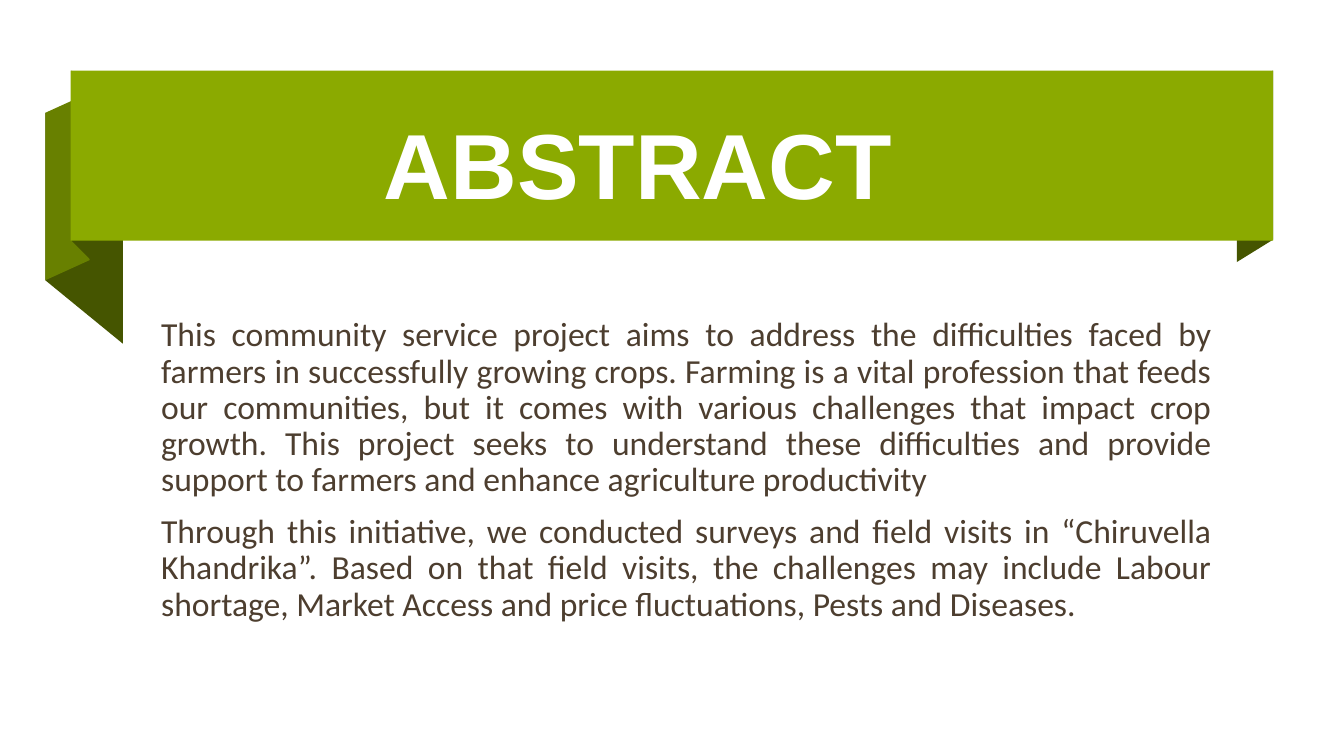
import pptx
import pptx.dml.color
import pptx.enum.shapes
import pptx.enum.text
import pptx.util

Pt = pptx.util.Pt
ALIGN = pptx.enum.text.PP_ALIGN
ANCHOR = pptx.enum.text.MSO_ANCHOR

COLOURS = {
    "background": "FFFFFF",
    "banner": "8BAA00",
    "fold": "688000",
    "shade": "455500",
    "title": "FFFFFF",
    "body": "4D3E2F",
}

ABSTRACT = [
    "This community service project aims to address the difficulties faced by farmers in "
    "successfully growing crops. Farming is a vital profession that feeds our communities, "
    "but it comes with various challenges that impact crop growth. This project seeks to "
    "understand these difficulties and provide support to farmers and enhance agriculture "
    "productivity",
    "Through this initiative, we conducted surveys and field visits in “Chiruvella Khandrika”. "
    "Based on that field visits, the challenges may include Labour shortage, Market Access and "
    "price fluctuations, Pests and Diseases.",
]


def colour(name):
    return pptx.dml.color.RGBColor.from_string(COLOURS[name])


def paint(shape, name):
    shape.shadow.inherit = False
    shape.fill.solid()
    shape.fill.fore_color.rgb = colour(name)
    shape.line.fill.background()


def add_panel(slide, left, top, corners, name):
    points = [(Pt(left + x), Pt(top + y)) for x, y in corners]
    builder = slide.shapes.build_freeform(*points[0])
    builder.add_line_segments(points[1:], close=True)
    paint(builder.convert_to_shape(), name)


def add_text_frame(slide, left, top, width, height, anchor):
    box = slide.shapes.add_textbox(Pt(left), Pt(top), Pt(width), Pt(height))
    frame = box.text_frame
    frame.word_wrap = True
    frame.vertical_anchor = anchor
    return frame


def add_run(paragraph, text, font, size, name, bold=False):
    run = paragraph.add_run()
    run.text = text
    run.font.name = font
    run.font.size = Pt(size)
    run.font.bold = bold
    run.font.color.rgb = colour(name)


def add_banner(slide, left, top, width, height, title):
    right = left + width
    tail = [(37.4, 195.1), (-18, 149.8), (-18, 30.2), (37.4, 75.6)]
    side = [(13.7, 135.4), (-18, 149.8), (-18, 30.2), (13.7, 15.8)]
    inner = [(13.7, 134.6), (0.7, height), (0.7, 0), (13.7, 13.7)]
    end = [(0, height - 0.7), (-25.9, 136.8), (-25.9, 15.1), (0, 0)]
    add_panel(slide, left, top, tail, "shade")
    add_panel(slide, left, top, side, "fold")
    add_panel(slide, left, top, inner, "shade")
    add_panel(slide, right, top, end, "shade")
    banner = slide.shapes.add_shape(
        pptx.enum.shapes.MSO_SHAPE.RECTANGLE, Pt(left), Pt(top), Pt(width), Pt(height))
    paint(banner, "banner")
    frame = add_text_frame(slide, left + 216.7, top + 13, 422, 95.8, ANCHOR.BOTTOM)
    add_run(frame.paragraphs[0], title, "Arial", 66, "title", True)


def add_body(slide, left, top, width, height, texts):
    frame = add_text_frame(slide, left, top, width, height, ANCHOR.MIDDLE)
    for index, text in enumerate(texts):
        paragraph = frame.add_paragraph() if index else frame.paragraphs[0]
        paragraph.alignment = ALIGN.JUSTIFY
        paragraph.line_spacing = 0.9
        paragraph.space_before = Pt(11)
        add_run(paragraph, text, "Calibri", 24, "body")


def main():
    presentation = pptx.Presentation()
    presentation.slide_width = Pt(960)
    presentation.slide_height = Pt(540)
    slide = presentation.slides.add_slide(presentation.slide_layouts[6])
    slide.background.fill.solid()
    slide.background.fill.fore_color.rgb = colour("background")
    add_banner(slide, 50.4, 50.4, 859, 121.5, "ABSTRACT")
    add_body(slide, 108, 195.8, 764.6, 280.8, ABSTRACT)
    presentation.save("out.pptx")


if __name__ == "__main__":
    main()
